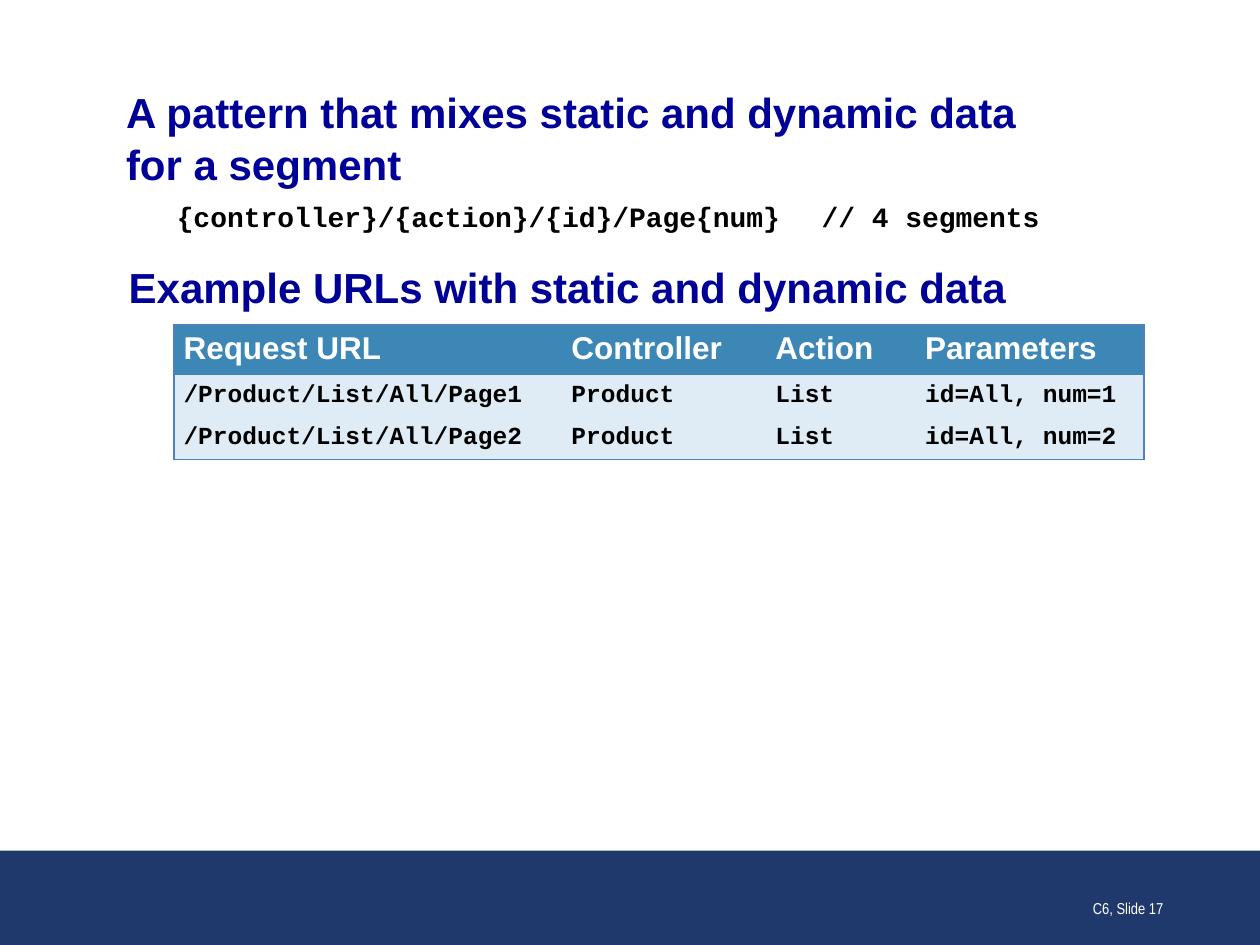
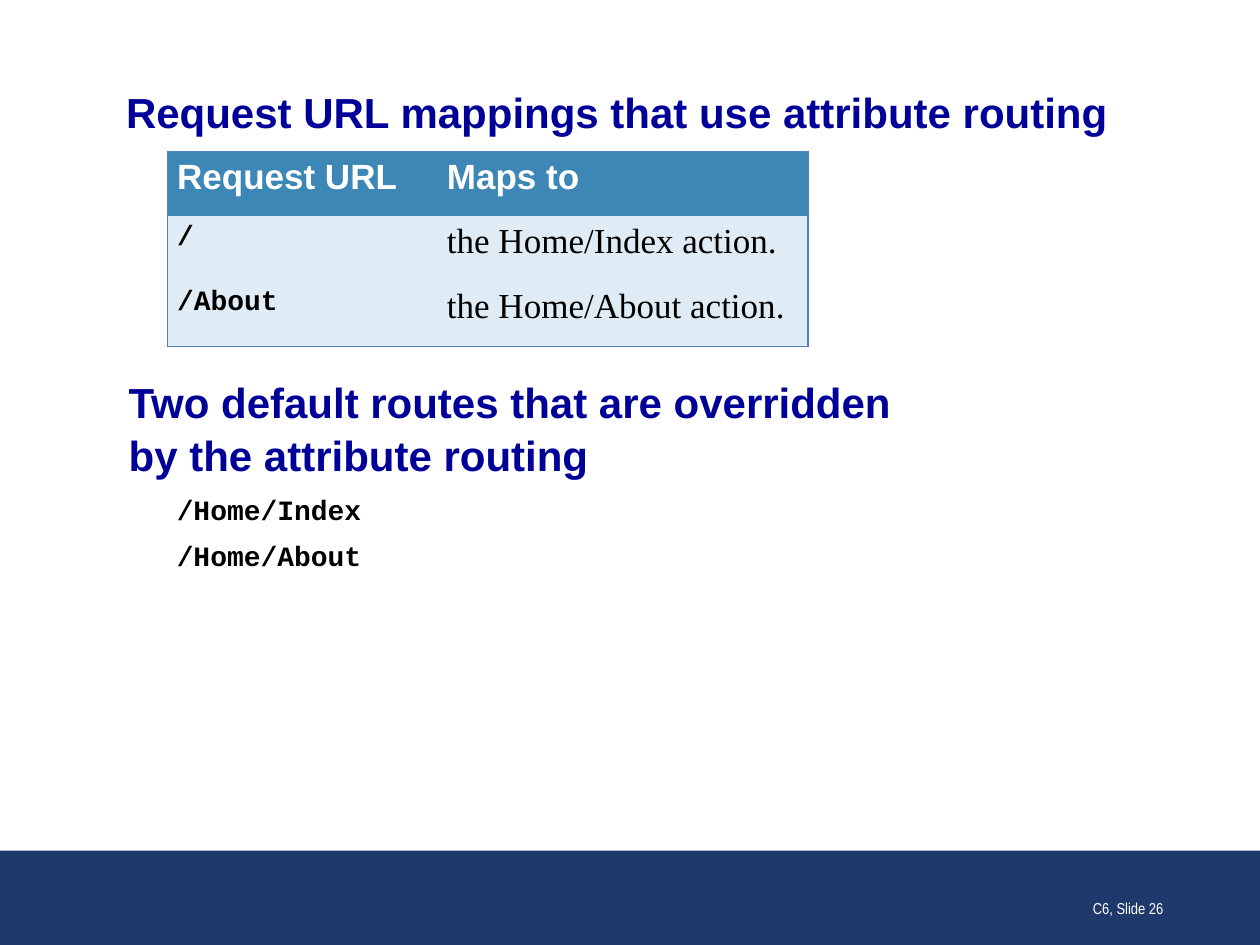
from lxml import etree
from pptx import Presentation
from pptx.dml.color import RGBColor
from pptx.enum.shapes import MSO_SHAPE
from pptx.enum.text import MSO_ANCHOR as Anchor, MSO_AUTO_SIZE as AutoSize, PP_ALIGN as Align
from pptx.oxml.ns import qn
from pptx.util import Cm, Pt

# Shared look
WIDTH, HEIGHT = Cm(25.4), Cm(19.05)
NAVY, HEADING_BLUE, WHITE, BLACK = "20396D", "000099", "FFFFFF", "000000"
HEAD_FILL, ROW_FILL, BORDER = "3D87B7", "DFECF5", "4F81BD"
LINE_SPACING = 1.05
CODE_INDENT = Cm(0.97)
COMMENT_TAB = Cm(15.87)

# Text styles: font, size, bold, colour
HEADING = ("Arial", 24, True, HEADING_BLUE)
CODE = ("Courier New", 16, True, BLACK)
SMALL_CODE = ("Courier New", 14, True, BLACK)
PROSE = ("Times New Roman", 20, False, BLACK)
FOOTER = ("Arial Narrow", 9, False, WHITE)


def rgb(color):
    return RGBColor.from_string(color)


def style_text(paragraph, style):
    font = paragraph.font
    font.name, size, font.bold, color = style
    font.size = Pt(size)
    font.color.rgb = rgb(color)


def place(shape, left, top, width, height):
    shape.left, shape.top = Cm(left), Cm(top)
    shape.width, shape.height = Cm(width), Cm(height)


def add_band(slide):
    band = slide.shapes.add_shape(MSO_SHAPE.RECTANGLE, 0, Cm(17.15), WIDTH, HEIGHT - Cm(17.15))
    band.shadow.inherit = False
    band.fill.solid()
    band.fill.fore_color.rgb = rgb(NAVY)
    band.line.fill.background()


def add_footer(slide, number):
    footer = slide.shapes.add_textbox(Cm(18.42), Cm(17.35), Cm(5.28), Cm(1.27))
    frame = footer.text_frame
    frame.word_wrap = True
    frame.vertical_anchor = Anchor.BOTTOM
    label = frame.paragraphs[0]
    label.text = f"C6, Slide {number}"
    label.alignment = Align.RIGHT
    style_text(label, FOOTER)


def set_title(slide, text, height):
    title = slide.shapes.title
    place(title, 2.54, 1.72, 20.32, height)
    frame = title.text_frame
    frame.auto_size = AutoSize.NONE
    frame.vertical_anchor = Anchor.MIDDLE
    frame.margin_left = frame.margin_right = frame.margin_top = frame.margin_bottom = 0
    heading = frame.paragraphs[0]
    heading.text = text
    heading.alignment = Align.LEFT
    heading.line_spacing = LINE_SPACING
    style_text(heading, HEADING)


def set_body(slide, box, lines):
    """Fill the body with (text, style, space before, space after) lines."""
    body = slide.placeholders[1]
    place(body, *box)
    frame = body.text_frame
    frame.auto_size = AutoSize.NONE
    for i, (text, style, before, after) in enumerate(lines):
        line = frame.add_paragraph() if i else frame.paragraphs[0]
        line.text = text
        line.line_spacing = LINE_SPACING
        line.space_before, line.space_after = Pt(before), Pt(after)
        props = line._p.get_or_add_pPr()
        props.set("marL", "0")
        props.set("indent", str(CODE_INDENT if style == CODE else 0))
        etree.SubElement(props, qn("a:buNone"))
        if "\t" in text:
            tabs = etree.SubElement(props, qn("a:tabLst"))
            etree.SubElement(tabs, qn("a:tab"), pos=str(COMMENT_TAB), algn="l")
        style_text(line, style)


def set_borders(cell, outer_edges):
    """Draw the outer edges of a cell and clear its inner ones."""
    props = cell._tc.get_or_add_tcPr()
    for position, (side, is_outer) in enumerate(outer_edges.items()):
        edge = etree.Element(qn(f"a:ln{side}"), w=str(Pt(1)))
        if is_outer:
            fill = etree.SubElement(edge, qn("a:solidFill"))
            etree.SubElement(fill, qn("a:srgbClr"), val=BORDER)
        else:
            etree.SubElement(edge, qn("a:noFill"))
        props.insert(position, edge)


def add_url_table(slide, left, top, widths, heights, rows, head_size, column_styles):
    last_row, last_column = len(rows) - 1, len(widths) - 1
    table = slide.shapes.add_table(len(rows), len(widths), Cm(left), Cm(top),
                                   Cm(sum(widths)), Cm(sum(heights))).table
    for column, width in zip(table.columns, widths):
        column.width = Cm(width)
    for r, (texts, height) in enumerate(zip(rows, heights)):
        table.rows[r].height = Cm(height)
        for c, text in enumerate(texts):
            cell = table.cell(r, c)
            cell.margin_left = cell.margin_right = Cm(0.19)
            cell.fill.solid()
            cell.fill.fore_color.rgb = rgb(ROW_FILL if r else HEAD_FILL)
            set_borders(cell, {"L": c == 0, "R": c == last_column,
                               "T": r == 0, "B": r == last_row})
            entry = cell.text_frame.paragraphs[0]
            entry.text = text
            style_text(entry, column_styles[c] if r else ("Arial", head_size, True, WHITE))


def add_slide(prs, number, title, title_height):
    slide = prs.slides.add_slide(prs.slide_layouts[1])
    add_band(slide)
    set_title(slide, title, title_height)
    add_footer(slide, number)
    return slide


def main():
    prs = Presentation()
    prs.slide_width, prs.slide_height = WIDTH, HEIGHT

    # Static and dynamic data
    mixed = add_slide(prs, 17, "A pattern that mixes static and dynamic data\vfor a segment", 2.06)
    set_body(mixed, (2.34, 3.86, 20.96, 6.15), [
        ("{controller}/{action}/{id}/Page{num}\t// 4 segments", CODE, 0, 0),
        ("Example URLs with static and dynamic data", HEADING, 15, 6),
    ])
    pages = [(f"/Product/List/All/Page{n}", "Product", "List", f"id=All, num={n}") for n in (1, 2)]
    add_url_table(mixed, 3.51, 6.55, [7.82, 4.11, 3.02, 4.6], [0.97, 0.81, 0.81],
                  [("Request URL", "Controller", "Action", "Parameters"), *pages],
                  18, [SMALL_CODE] * 4)

    # Attribute routing
    routing = add_slide(prs, 26, "Request URL mappings that use attribute routing", 1.02)
    set_body(routing, (2.34, 7.42, 20.52, 6.15), [
        ("Two default routes that are overridden\vby the attribute routing", HEADING, 0, 6),
        ("/Home/Index", CODE, 0, 6),
        ("/Home/About", CODE, 0, 6),
    ])
    add_url_table(routing, 3.38, 3.05, [5.44, 7.47], [1.31] * 3,
                  [("Request URL", "Maps to"),
                   ("/", "the Home/Index action."),
                   ("/About", "the Home/About action.")],
                  20, [CODE, PROSE])

    prs.save("out.pptx")


if __name__ == "__main__":
    main()
